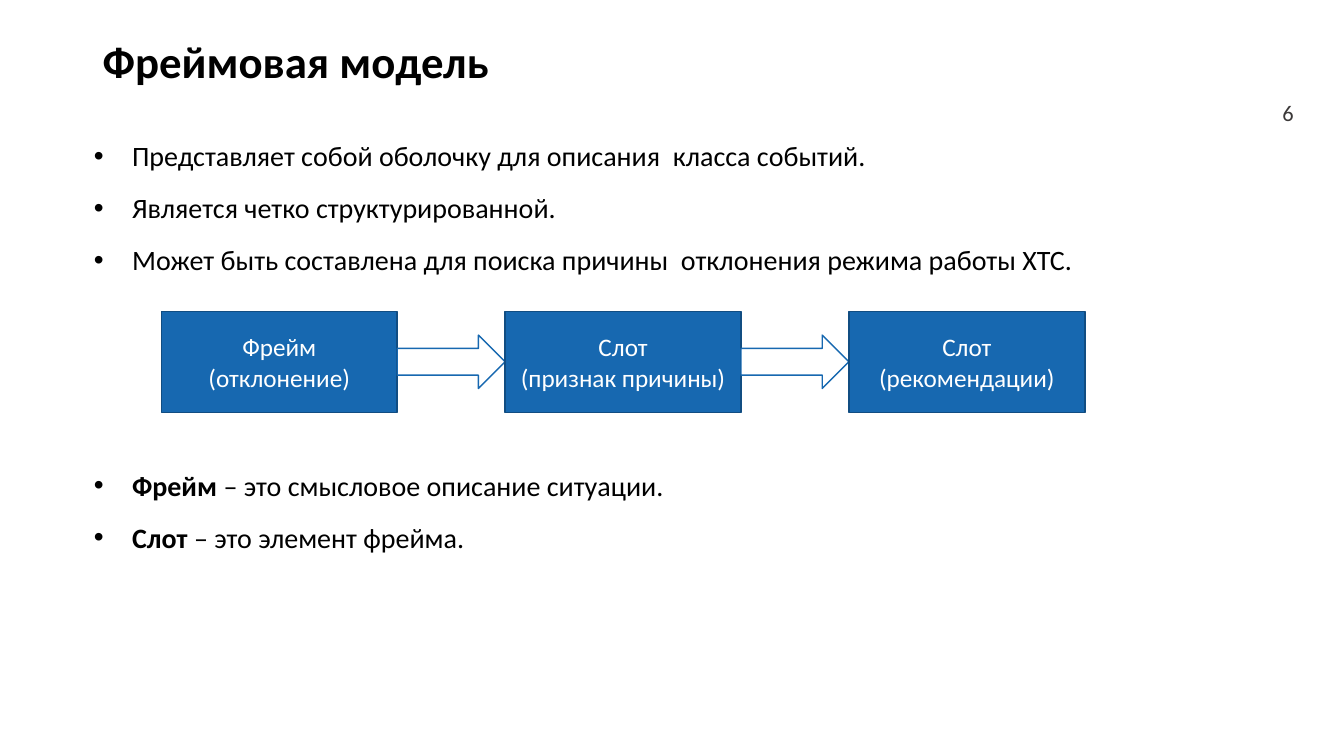
from lxml.etree import SubElement
from pptx import Presentation
from pptx.dml.color import RGBColor
from pptx.enum.shapes import MSO_SHAPE
from pptx.enum.text import MSO_ANCHOR, MSO_AUTO_SIZE, PP_ALIGN
from pptx.oxml.ns import qn
from pptx.util import Inches, Pt

COLORS = {
    "background": "FFFFFF",
    "text": "000000",
    "number": "3B3838",
    "box": "1768B0",
    "box_line": "114D82",
    "box_text": "FFFFFF",
}


class SlideBuilder:
    """Holds the style and the current slide."""

    font_name = "Calibri"

    def __init__(self, slide):
        self.slide = slide
        slide.background.fill.solid()
        slide.background.fill.fore_color.rgb = self.color("background")

    def color(self, name):
        return RGBColor.from_string(COLORS[name])

    def style(self, paragraph, size, color, bold=None):
        font = paragraph.font
        font.name, font.size, font.bold = self.font_name, Pt(size), bold
        font.color.rgb = self.color(color)

    def frame(self, left, top, width, height):
        area = self.slide.shapes.add_textbox(
            Inches(left), Inches(top), Inches(width), Inches(height))
        area.text_frame.word_wrap = True
        return area.text_frame

    def label(self, text, left, top, width, height, size, color,
              bold=False, align=PP_ALIGN.LEFT):
        frame = self.frame(left, top, width, height)
        frame.vertical_anchor = MSO_ANCHOR.MIDDLE
        frame.text = text
        paragraph = frame.paragraphs[0]
        paragraph.alignment = align
        self.style(paragraph, size, color, bold)

    def bullets(self, items, left, top, width, height):
        """Each item is a pair: a bold term (may be empty) and plain text."""
        frame = self.frame(left, top, width, height)
        frame.auto_size = MSO_AUTO_SIZE.SHAPE_TO_FIT_TEXT
        frame.margin_left = frame.margin_right = frame.margin_bottom = 0
        frame.margin_top = Inches(0.01)
        for index, (term, description) in enumerate(items):
            paragraph = frame.add_paragraph() if index else frame.paragraphs[0]
            properties = paragraph._p.get_or_add_pPr()
            properties.set("marL", str(Inches(0.39)))
            properties.set("indent", str(Inches(-0.38)))
            SubElement(properties, qn("a:buFont"), typeface="Arial")
            SubElement(properties, qn("a:buChar"), char="•")
            paragraph.line_spacing = 1.5
            if index:
                paragraph.space_before = Pt(1.1)
            self.style(paragraph, 20, "text")
            if term:
                term_run = paragraph.add_run()
                term_run.text = term
                term_run.font.bold = True
            paragraph.add_run().text = description

    def shape(self, kind, left, top, width, height, fill, line):
        shape = self.slide.shapes.add_shape(
            kind, Inches(left), Inches(top), Inches(width), Inches(height))
        shape.shadow.inherit = False
        shape.fill.solid()
        shape.fill.fore_color.rgb = self.color(fill)
        shape.line.color.rgb = self.color(line)
        shape.line.width = Pt(1)
        return shape

    def box(self, lines, left, top, width, height):
        box = self.shape(MSO_SHAPE.RECTANGLE, left, top, width, height,
                         "box", "box_line")
        frame = box.text_frame
        frame.vertical_anchor = MSO_ANCHOR.MIDDLE
        frame.text = "\n".join(lines)
        for paragraph in frame.paragraphs:
            paragraph.alignment = PP_ALIGN.CENTER
            self.style(paragraph, 18, "box_text")

    def arrow(self, left, top, width, height):
        self.shape(MSO_SHAPE.RIGHT_ARROW, left, top, width, height,
                   "background", "box")


def main():
    presentation = Presentation()
    presentation.slide_width = Inches(13.33)
    presentation.slide_height = Inches(7.5)
    builder = SlideBuilder(
        presentation.slides.add_slide(presentation.slide_layouts[6]))

    # Slide number and title
    builder.label("6", 12.42, 0.92, 0.51, 0.4, 16, "number",
                  align=PP_ALIGN.RIGHT)
    builder.label("Фреймовая модель", 0.92, 0.17, 11.29, 0.87, 32, "text",
                  bold=True)

    # Features of the model
    builder.bullets([
        ("", "Представляет собой оболочку для описания  класса событий."),
        ("", "Является четко структурированной."),
        ("", "Может быть составлена для поиска причины  "
             "отклонения режима работы ХТС."),
    ], 0.92, 1.2, 9.96, 1.51)

    # Chain from the frame to its slots
    stages = [
        ("Фрейм", "(отклонение)"),
        ("Слот", "(признак причины)"),
        ("Слот", "(рекомендации)"),
    ]
    chain_left, chain_top = 1.6, 3.09
    box_width, box_height = 2.34, 1
    arrow_width, arrow_height = 1.07, 0.53
    arrow_top = chain_top + (box_height - arrow_height) / 2
    for index, stage in enumerate(stages):
        left = chain_left + index * (box_width + arrow_width)
        if index:
            builder.arrow(left - arrow_width, arrow_top,
                          arrow_width, arrow_height)
        builder.box(stage, left, chain_top, box_width, box_height)

    # Definitions
    builder.bullets([
        ("Фрейм", " – это смысловое описание ситуации."),
        ("Слот", " – это элемент фрейма."),
    ], 0.92, 4.47, 9.96, 0.99)

    presentation.save("out.pptx")


if __name__ == "__main__":
    main()
